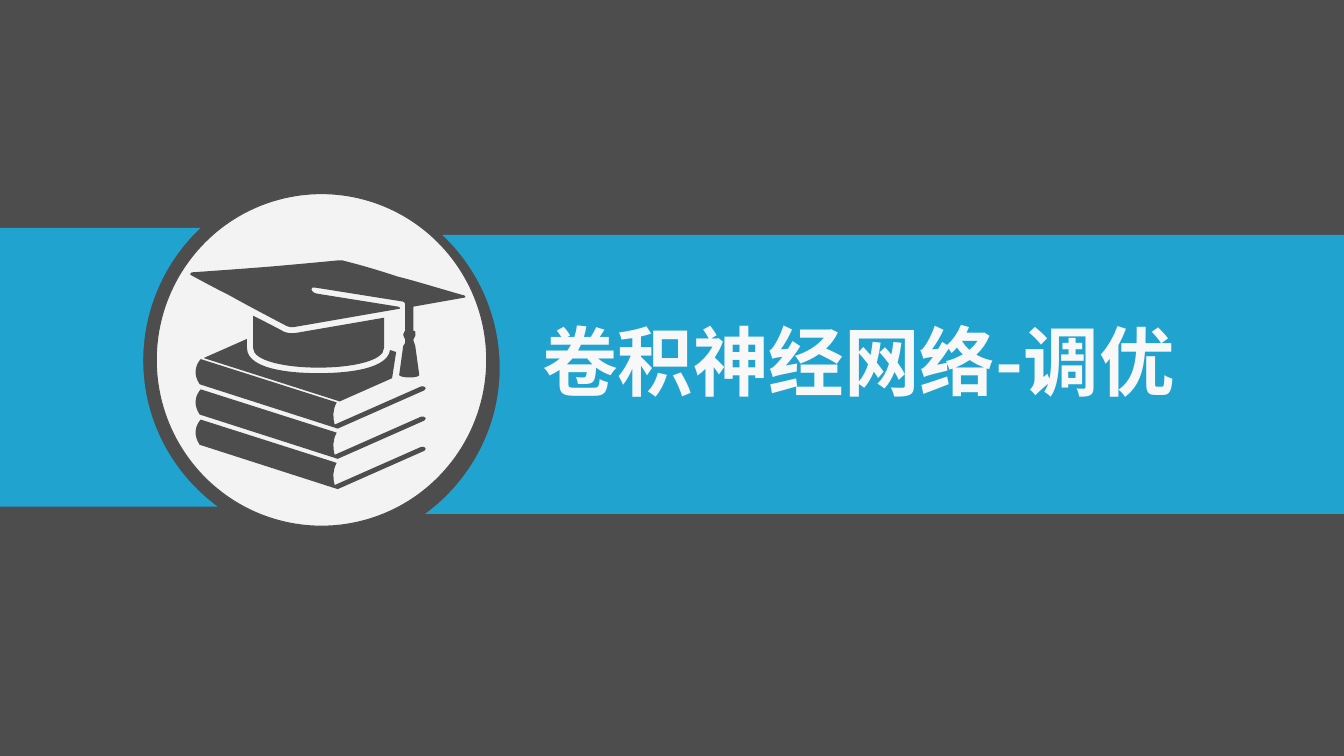
from collections import namedtuple
from dataclasses import dataclass

from lxml.etree import Element, SubElement
from pptx import Presentation
from pptx.dml.color import RGBColor
from pptx.enum.shapes import MSO_SHAPE
from pptx.enum.text import MSO_ANCHOR, MSO_AUTO_SIZE, PP_ALIGN
from pptx.oxml.ns import qn
from pptx.util import Cm, Pt

Box = namedtuple("Box", "left top width height")


@dataclass(frozen=True)
class Theme:
    dark: RGBColor = RGBColor(0x4D, 0x4D, 0x4D)
    blue: RGBColor = RGBColor(0x21, 0xA3, 0xD0)
    light: RGBColor = RGBColor(0xF3, 0xF3, 0xF3)
    title: RGBColor = RGBColor(0xF8, 0xF8, 0xF8)
    font: str = "Noto Sans CJK SC"
    title_size: Pt = Pt(54)


THEME = Theme()

# Outlines on a fine grid: a pair is a line end, six numbers are a curve
BAND_GRID = 277
NOTCH = [(0, 277), (45, 244, 74, 191, 74, 132), (74, 80, 52, 33, 17, 0)]
ICON_GRID = 274
BOOK_STEP = 30
BOOK = [(144, 193), (142, 186, 142, 178, 146, 171), (11, 128),
        (5, 135, 4, 144, 10, 153), (147, 197), (233, 159),
        (235, 158, 235, 156, 232, 155), (230, 155)]
COVER = [(149, 140), (201, 117), (205, 91), (199, 89),
         (196, 111, 143, 112, 128, 112), (113, 112, 57, 111, 57, 87),
         (57, 78), (14, 97)]
BOARD = [(214, 44), (214, 70), (214, 70, 213, 70, 213, 71), (212, 74),
         (212, 76, 214, 77, 214, 79), (214, 82), (214, 83, 212, 84, 212, 85),
         (208, 114), (210, 117, 227, 117, 228, 114), (224, 85),
         (224, 84, 223, 83, 223, 82), (222, 79), (222, 77, 224, 77, 224, 75),
         (224, 71), (224, 70, 223, 70, 222, 70), (222, 46), (273, 37),
         (274, 37, 274, 36, 273, 35), (248, 28, 226, 21, 206, 16),
         (188, 10, 171, 5, 155, 1), (153, 0, 151, 0, 148, 0),
         (128, 2, 106, 4, 83, 6), (58, 8, 31, 10, 2, 12),
         (0, 13, 0, 15, 2, 15), (13, 21, 26, 28, 40, 35),
         (56, 44, 75, 54, 96, 65), (98, 66, 102, 67, 105, 66),
         (140, 60, 174, 54, 209, 48), (209, 47, 208, 46, 207, 46),
         (126, 33), (119, 31, 120, 26, 124, 27), (212, 41),
         (214, 42, 214, 43, 214, 44)]
CAP = [(193, 57), (193, 87), (193, 113, 63, 113, 63, 87), (63, 55),
       (73, 60, 83, 65, 94, 71), (97, 72, 102, 73, 106, 72),
       (135, 67, 164, 62, 193, 57)]


def shift_down(outline, distance):
    return [tuple(value + distance * (index % 2) for index, value in enumerate(step))
            for step in outline]


def paint(shape, color):
    shape.shadow.inherit = False
    shape.fill.solid()
    shape.fill.fore_color.rgb = color
    shape.line.fill.background()


def bend_curves(shape, outlines):
    """Merge the three segments of each six-number step into one curve."""
    segments = iter(list(shape._element.iter(qn("a:lnTo"))))
    for outline in outlines:
        for step in outline[1:]:
            parts = [next(segments) for _ in range(len(step) // 2)]
            if len(parts) == 1:
                continue
            curve = Element(qn("a:cubicBezTo"))
            parts[0].addprevious(curve)
            for part in parts:
                curve.append(part[0])
                part.getparent().remove(part)


def add_outlines(slide, outlines, color, left, top, unit_x, unit_y):
    contours = [[(step[index] * unit_x, step[index + 1] * unit_y)
                 for step in outline for index in range(0, len(step), 2)]
                for outline in outlines]
    builder = slide.shapes.build_freeform(*contours[0][0])
    for index, points in enumerate(contours):
        if index:
            builder.move_to(*points[0])
        builder.add_line_segments(points[1:], close=True)
    shape = builder.convert_to_shape(left, top)
    bend_curves(shape, outlines)
    paint(shape, color)


def add_band(slide, box, direction):
    """A band whose inner end is notched; direction points to the slide edge."""
    unit = box.height / BAND_GRID
    outer = box.width / unit
    inner = box.left if direction > 0 else box.left + box.width
    outline = NOTCH + [(outer, 0), (outer, BAND_GRID)]
    add_outlines(slide, [outline], THEME.blue, inner, box.top, direction * unit, unit)


def add_emblem(slide, box):
    # Disc
    disc = slide.shapes.add_shape(MSO_SHAPE.OVAL, *box)
    paint(disc, THEME.light)
    disc.line.color.rgb = THEME.dark
    disc.line.width = Pt(0.75)
    # Books and graduation cap
    unit = Cm(6.96) / ICON_GRID
    books = [shift_down(BOOK, level * BOOK_STEP) for level in (-1, 0, 1)]
    add_outlines(slide, books + [COVER, BOARD, CAP], THEME.dark,
                 box.left + Cm(0.84), box.top + Cm(1.68), unit, unit)


def add_title(slide, box, text):
    title = slide.shapes.title
    title.left, title.top, title.width, title.height = box
    slide.shapes._spTree.append(title._element)  # bring in front of the band
    frame = title.text_frame
    frame.text = text
    frame.word_wrap = True
    frame.auto_size = MSO_AUTO_SIZE.NONE
    frame.vertical_anchor = MSO_ANCHOR.MIDDLE
    paragraph = frame.paragraphs[0]
    paragraph.alignment = PP_ALIGN.LEFT
    font = paragraph.font
    font.name, font.size, font.bold = THEME.font, THEME.title_size, True
    font.color.rgb = THEME.title
    properties = paragraph._p.pPr.find(qn("a:defRPr"))
    SubElement(properties, qn("a:ea")).set("typeface", THEME.font)


def add_section_slide(presentation, text):
    slide = presentation.slides.add_slide(presentation.slide_layouts[0])
    slide.background.fill.solid()
    slide.background.fill.fore_color.rgb = THEME.dark
    subtitle = slide.placeholders[1]._element
    subtitle.getparent().remove(subtitle)

    add_emblem(slide, Box(Cm(3.94), Cm(4.88), Cm(8.33), Cm(8.38)))
    # Bands to the right and left of the emblem
    right = Cm(10.72)
    add_band(slide, Box(right, Cm(5.92), presentation.slide_width - right, Cm(7.03)), 1)
    add_band(slide, Box(0, Cm(5.74), Cm(5.49), Cm(7.03)), -1)
    add_title(slide, Box(Cm(13.41), Cm(8.13), Cm(19.61), Cm(1.88)), text)


def main():
    presentation = Presentation()
    presentation.slide_width, presentation.slide_height = Cm(33.88), Cm(19.05)
    add_section_slide(presentation, "卷积神经网络-调优")
    presentation.save("out.pptx")


if __name__ == "__main__":
    main()
